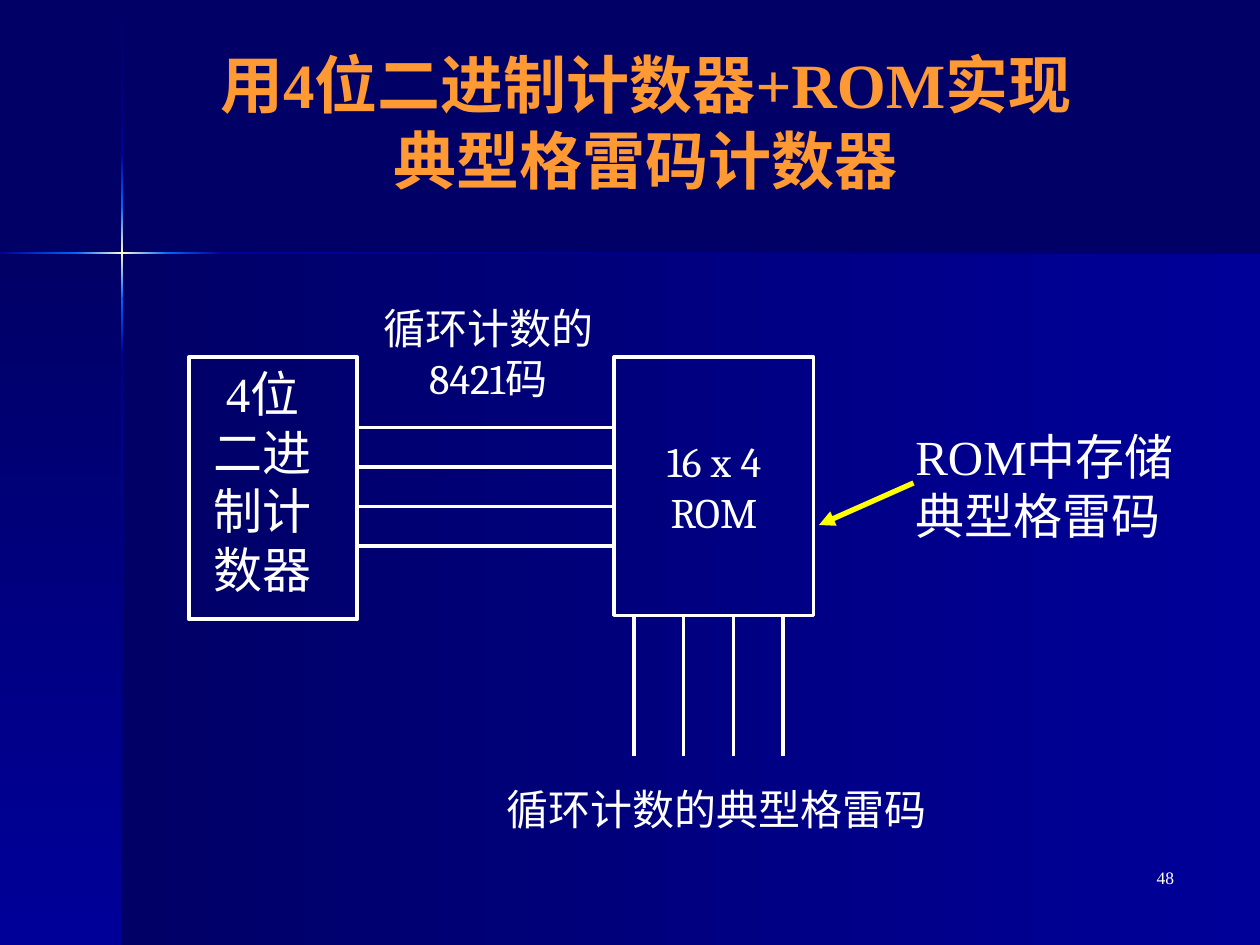
from lxml import etree
from pptx import Presentation
from pptx.dml.color import RGBColor
from pptx.enum.shapes import MSO_CONNECTOR, MSO_SHAPE
from pptx.enum.text import MSO_ANCHOR, PP_ALIGN
from pptx.oxml.ns import qn
from pptx.util import Inches, Pt

LEFT, CENTER, RIGHT = PP_ALIGN.LEFT, PP_ALIGN.CENTER, PP_ALIGN.RIGHT
TOP, MIDDLE = MSO_ANCHOR.TOP, MSO_ANCHOR.MIDDLE
RECT, STRAIGHT = MSO_SHAPE.RECTANGLE, MSO_CONNECTOR.STRAIGHT

C = {"navy": "000066", "blue": "000099", "azure": "0066FF", "glow": "FFFFCC",
     "title": "FF9933", "white": "FFFFFF", "arrow": "FFFF00"}
TIMES, CAMBRIA = "Times New Roman", "Cambria"

# The slide is a grid of 120 columns and 90 rows, 12 to the inch
COLS, ROWS = 120, 90
CROSS_X, CROSS_Y, BEAM = 11.6, 24.1, 0.2


def u(n):
    return Inches(n / 12)


def rgb(name):
    return RGBColor.from_string(C[name])


def add_rect(s, x, y, w, h):
    sp = s.shapes.add_shape(RECT, u(x), u(y), u(w), u(h))
    sp.shadow.inherit = False
    return sp


def add_gradient(s, x, y, w, h, colors, vertical):
    sp = add_rect(s, x, y, w, h)
    sp.line.fill.background()
    sp.fill.gradient()
    sp.fill.gradient_angle = 270 if vertical else 0
    stops = sp._element.spPr.find(".//" + qn("a:gsLst"))
    for old in list(stops):
        stops.remove(old)
    for i, name in enumerate(colors):
        pos = str(100000 * i // (len(colors) - 1))
        gs = etree.SubElement(stops, qn("a:gs"), pos=pos)
        etree.SubElement(gs, qn("a:srgbClr"), val=C[name])


def add_beam(s, bounds, colors, vertical):
    for start, end, pair in zip(bounds, bounds[1:], colors):
        if vertical:
            box = CROSS_X - BEAM / 2, start, BEAM, end - start
        else:
            box = start, CROSS_Y - BEAM / 2, end - start, BEAM
        add_gradient(s, *box, pair, vertical)


def add_box(s, x, y, w, h, width):
    sp = add_rect(s, x, y, w, h)
    sp.fill.background()
    sp.line.color.rgb = rgb("white")
    sp.line.width = Pt(width)
    return sp


def write(sp, paragraphs, size, font, align=CENTER, color="white",
          bold=False, anchor=TOP, wrap=True):
    tf = sp.text_frame
    tf.word_wrap = wrap
    tf.vertical_anchor = anchor
    for i, text in enumerate(paragraphs):
        p = tf.add_paragraph() if i else tf.paragraphs[0]
        p.alignment = align
        for j, line in enumerate(text.split("\n")):
            if j:
                p.add_line_break()
            r = p.add_run()
            r.text = line
            r.font.name = font
            r.font.size = Pt(size)
            r.font.bold = bold
            r.font.color.rgb = rgb(color)


def add_text(s, x, y, w, h, text, size, font, **style):
    sp = s.shapes.add_textbox(u(x), u(y), u(w), u(h))
    write(sp, [text], size, font, **style)


def add_line(s, x1, y1, x2, y2, color="white", width=2, arrow=False):
    line = s.shapes.add_connector(STRAIGHT, u(x1), u(y1), u(x2), u(y2))
    line.line.color.rgb = rgb(color)
    line.line.width = Pt(width)
    if arrow:
        etree.SubElement(line.line._get_or_add_ln(), qn("a:tailEnd"),
                         type="triangle")
    etree.SubElement(line._element.spPr, qn("a:effectLst"))


def add_background(s):
    s.background.fill.solid()
    s.background.fill.fore_color.rgb = rgb("navy")
    depth = ROWS - CROSS_Y
    add_gradient(s, CROSS_X, CROSS_Y, COLS - CROSS_X, depth,
                 ["navy", "blue"], False)
    add_gradient(s, 0, CROSS_Y, CROSS_X, depth, ["navy", "blue"], True)

    # Beams that cross in a bright star
    rise, shine = ["blue", "azure"], ["azure", "glow", "azure"]
    fade, sink = ["azure", "blue"], ["blue", "navy"]
    add_beam(s, [0, 14.5, 19.7, 28.4, 33.7, ROWS],
             [["navy", "blue"], rise, shine, fade, sink], True)
    add_beam(s, [0, 7.3, 16, 21.2, COLS], [rise, shine, fade, sink], False)


def add_diagram(s):
    # ROM block
    rom = add_box(s, 58.5, 34, 19, 24.6, 2)
    write(rom, ["16 x 4", "ROM"], 24, CAMBRIA, anchor=MIDDLE, wrap=False)

    # Four wires into the ROM and four out of it
    for i in range(4):
        y = 40.7 + 3.76 * i
        add_line(s, 34, y, 58.5, y)
        x = 60.4 + 4.72 * i
        add_line(s, x, 58.6, x, 72)
    add_text(s, 34, 28.2, 25, 10.8, "循环计数的8421码", 24, CAMBRIA)
    add_text(s, 47, 74, 42.4, 6, "循环计数的典型格雷码", 24, CAMBRIA, wrap=False)

    # Counter block
    add_box(s, 18, 34, 16, 25, 2.25)
    add_text(s, 18, 34, 14, 23.6, "4位二进制计数器", 28, TIMES)

    # Note on the ROM contents
    add_text(s, 86, 40, 29, 12.5, "ROM中存储典型格雷码", 28, TIMES, align=LEFT)
    add_line(s, 87, 46, 78, 50, "arrow", 3, arrow=True)


def main():
    prs = Presentation()
    prs.slide_width, prs.slide_height = u(COLS), u(ROWS)
    s = prs.slides.add_slide(prs.slide_layouts[6])
    add_background(s)
    add_text(s, 88, 82, 25, 6, "48", 10, TIMES, align=RIGHT)
    add_text(s, 8, 4, 107, 15.1, "用4位二进制计数器+ROM实现\n典型格雷码计数器",
             36, TIMES, color="title", bold=True, anchor=MIDDLE)
    add_diagram(s)
    prs.save("out.pptx")


if __name__ == "__main__":
    main()
